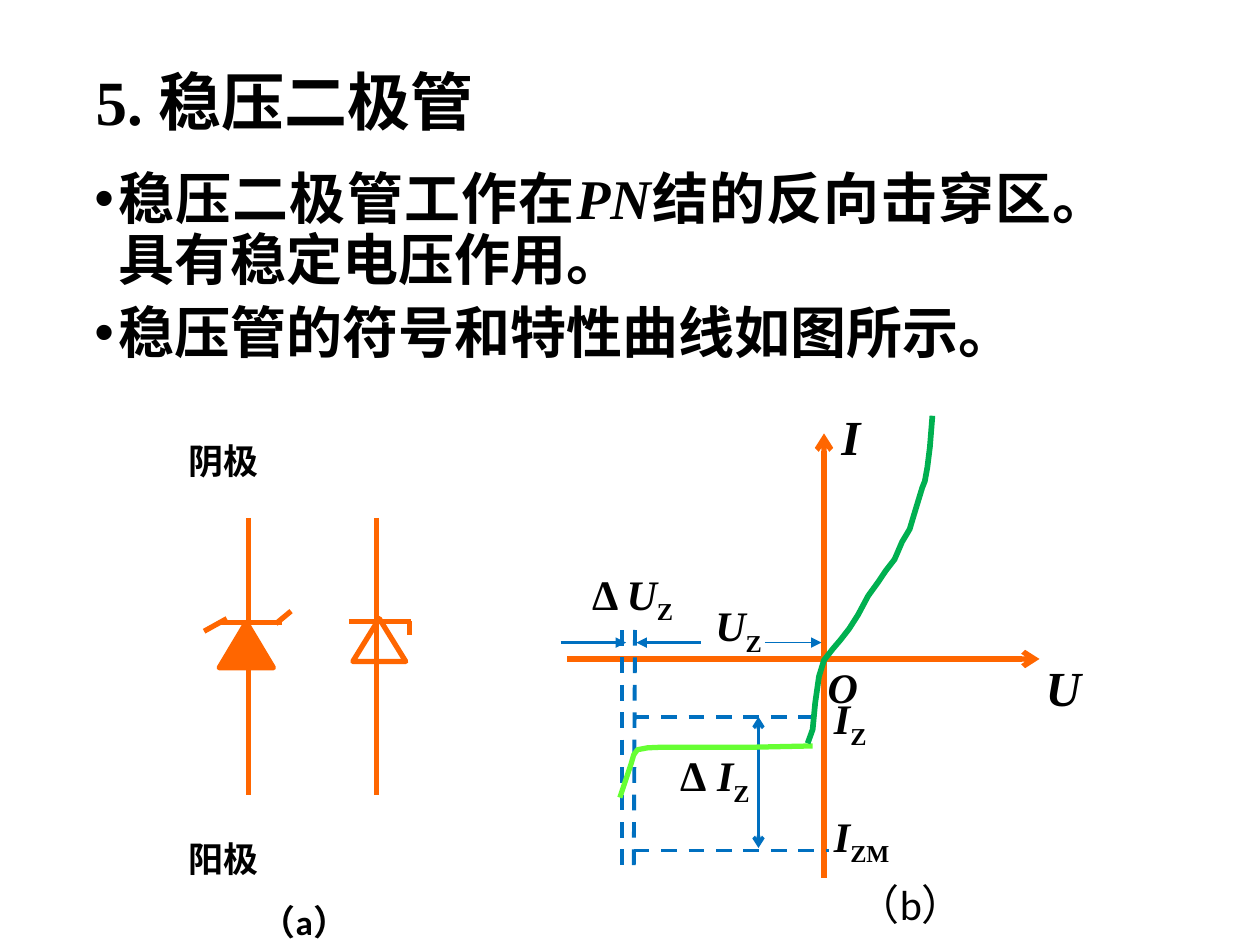
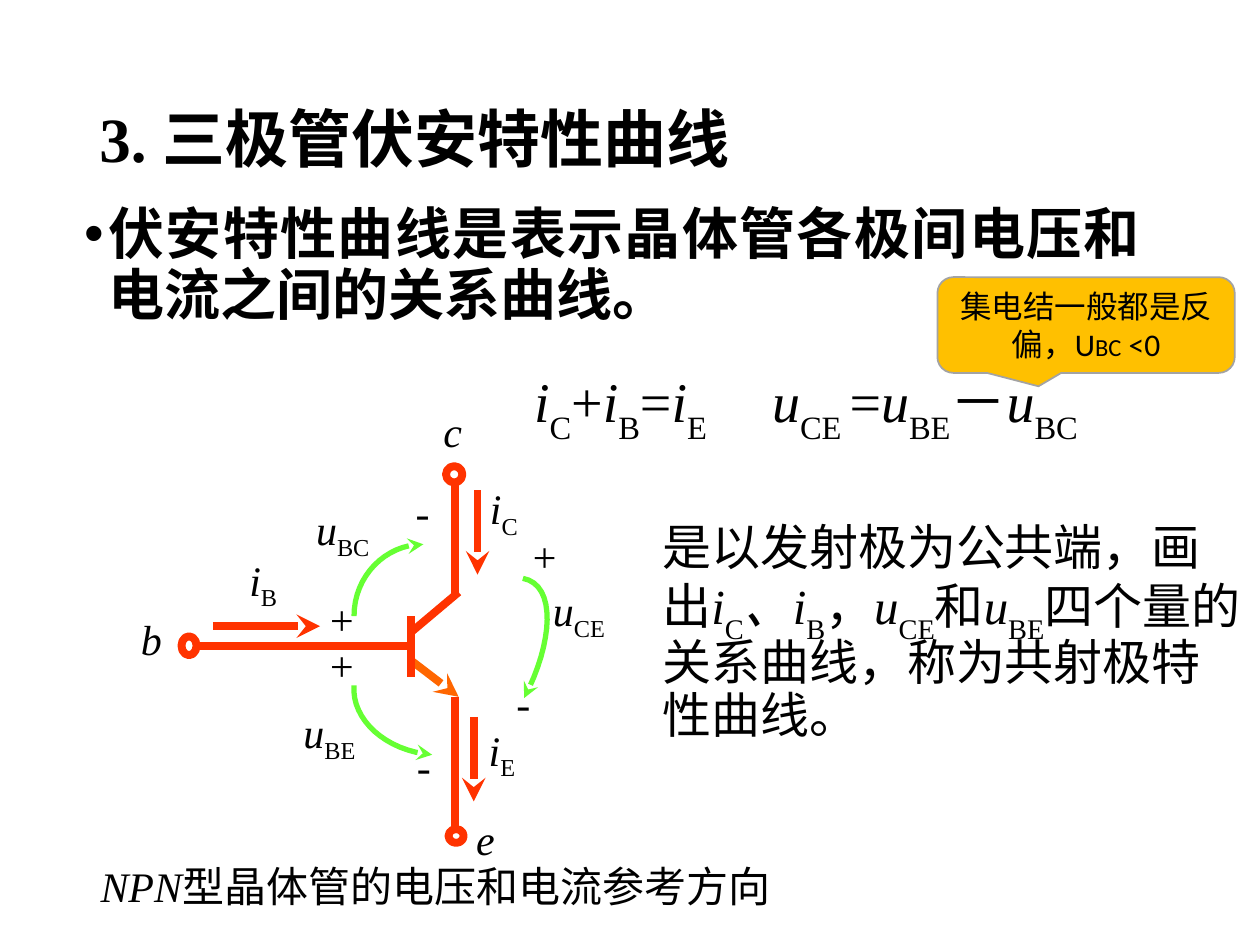
import lxml.etree
import pptx
import pptx.dml.color
import pptx.enum.dml
import pptx.enum.shapes
import pptx.enum.text
import pptx.oxml.ns
import pptx.util

# Shared look: a grid of 100 columns by 75 rows
cell = pptx.util.Inches(0.1)
serif, sans, chinese = "Times New Roman", "Calibri", "Noto Sans CJK SC"
orange, red, blue = "FF6600", "FF3300", "0070C0"
lime, green, amber, grey = "66FF33", "00B050", "FFC000", "A3A3A3"
black, white = "000000", "FFFFFF"
color = pptx.dml.color.RGBColor.from_string
qn = pptx.oxml.ns.qn
align = pptx.enum.text.PP_ALIGN
anchor = pptx.enum.text.MSO_ANCHOR
preset = pptx.enum.shapes.MSO_SHAPE


def write(page, at, paragraphs, size, font=serif, bold=False, box=None, drop=25,
          alignment=align.LEFT, middle=False, spacing=None, bullet=False):
    """Fill a box; "|" parts runs, marked "/" italic, "_" subscript, "~" small."""
    box = box or page.shapes.add_textbox(*[round(v * cell) for v in at])
    frame = box.text_frame
    frame.word_wrap = True
    frame.vertical_anchor = anchor.MIDDLE if middle else anchor.TOP
    for number, text in enumerate(paragraphs):
        para = frame.add_paragraph() if number else frame.paragraphs[0]
        para.alignment, para.line_spacing = alignment, spacing
        if number:
            para.space_before = pptx.util.Pt(7.5)
        properties = para._p.get_or_add_pPr()
        if bullet:
            indent = pptx.util.Inches(0.19)
            properties.set("marL", str(indent))
            properties.set("indent", str(-indent))
            lxml.etree.SubElement(properties, qn("a:buFont"), typeface="Arial")
            lxml.etree.SubElement(properties, qn("a:buChar"), char="•")
        para.font.size, para.font.name = pptx.util.Pt(size), font
        para.font.bold = bold
        para.font.color.rgb = color(black)
        lxml.etree.SubElement(properties.find(qn("a:defRPr")), qn("a:ea"), typeface=chinese)
        for part in text.split("|"):
            span = para.add_run()
            span.text = part.lstrip("/_~")
            if part[0] == "/":
                span.font.italic, span.font.name = True, serif
            elif part[0] == "_":
                span._r.get_or_add_rPr().set("baseline", str(-drop * 1000))
            elif part[0] == "~":
                span.font.size = pptx.util.Pt(14)


def stroke(shape, ink, width, dashed=False, head=None, tail=None):
    """Colour an outline, give it arrowheads and take its shadow away."""
    shape.line.color.rgb = color(ink)
    shape.line.width = pptx.util.Pt(width)
    if dashed:
        shape.line.dash_style = pptx.enum.dml.MSO_LINE.DASH
    outline = shape.line._get_or_add_ln()
    for tag, kind in (("a:headEnd", head), ("a:tailEnd", tail)):
        if kind:
            lxml.etree.SubElement(outline, qn(tag), type=kind)
    lxml.etree.SubElement(shape._element.spPr, qn("a:effectLst"))


deck = pptx.Presentation()
deck.slide_width, deck.slide_height = 100 * cell, 75 * cell
diode, transistor = [deck.slides.add_slide(deck.slide_layouts[6]) for _ in range(2)]

# Titles and bulleted bodies
for page, title_at, title, body_at, body, body_font in (
    (diode, (6.6, 1.1, 86.2, 14.5), "5. 稳压二极管", (6.5, 13.1, 82.5, 21),
     ["稳压二极管工作在|/PN|结的反向击穿区。具有稳定电压作用。",
      "稳压管的符号和特性曲线如图所示。"], chinese),
    (transistor, (6.9, 4, 86.2, 14.5), "3. 三极管伏安特性曲线", (5.7, 15.9, 85.8, 12.7),
     ["伏安特性曲线是表示晶体管各极间电压和电流之间的关系曲线。"], serif),
):
    write(page, title_at, [title], 36, bold=True, middle=True, spacing=0.9)
    write(page, body_at, body, 32, body_font, bold=True, alignment=align.JUSTIFY,
          spacing=0.9, bullet=True)

# Straight lines: page, from, to, colour, width, dashed, head, tail
lines = [
    # Axes of the diode curve
    (diode, 65.4, 34.4, 65.4, 69.7, orange, 3, False, "arrow", None),
    (diode, 45, 52.3, 82.5, 52.3, orange, 3, False, None, "arrow"),
    # Guides and dimensions
    (diode, 50.4, 50, 50.3, 68.9, blue, 2.25, True, None, None),
    (diode, 49.4, 50, 49.4, 69.3, blue, 2.25, True, None, None),
    (diode, 50.3, 56.9, 65.1, 56.9, blue, 2.25, True, None, None),
    (diode, 50.3, 67.5, 65.8, 67.5, blue, 2.25, True, None, None),
    (diode, 44.5, 51, 49.7, 51, blue, 2, False, None, "triangle"),
    (diode, 50.5, 51, 55.6, 51, blue, 2, False, "triangle", None),
    (diode, 60.7, 51, 65.2, 51, blue, 1, False, None, "triangle"),
    (diode, 60.2, 56.9, 60.2, 67.3, blue, 2, False, "arrow", "arrow"),
    # Transistor current arrows
    (transistor, 16.9, 49.7, 25.4, 49.7, red, 4.5, False, None, "stealth"),
    (transistor, 37.9, 38.9, 37.9, 45.6, red, 4.5, False, None, "stealth"),
    (transistor, 37.6, 56.9, 37.6, 63.6, red, 4.5, False, None, "stealth"),
    (transistor, 32.6, 52.4, 36.4, 55.3, orange, 4.5, False, None, "stealth"),
]
# Diode symbols and transistor leads are plain strokes
for page, ink, width, strokes in (
    (diode, orange, 3, (
        (19.7, 41.1, 19.7, 63.1), (17.5, 49.4, 22.4, 49.4), (21.9, 49.5, 23.1, 48.5),
        (18, 49.1, 16.2, 50.1), (29.9, 41.1, 29.9, 63.1), (27.7, 49.3, 32.6, 49.3),
        (32.5, 49.3, 32.5, 50.4))),
    (transistor, red, 4.5, (
        (32.6, 48.9, 32.6, 53.7), (36.1, 55.3, 36.1, 66), (32.6, 50.2, 36.4, 47),
        (36.1, 47.3, 36.1, 37.8), (32.4, 51.3, 15.6, 51.3))),
):
    lines += [(page, *ends, ink, width, False, None, None) for ends in strokes]
for page, *ends, ink, width, dashed, head, tail in lines:
    line = page.shapes.add_connector(pptx.enum.shapes.MSO_CONNECTOR.STRAIGHT,
                                     *[round(v * cell) for v in ends])
    stroke(line, ink, width, dashed, head, tail)

# Curves: the diode characteristic, then the three voltage arcs
breakdown = [(64.5, 59.2), (59.9, 59.3), (52.6, 59.3), (51.4, 59.35), (50.6, 59.5),
             (50.3, 59.9), (50.1, 60.6), (49.4, 62.7), (49.2, 63.3)]
forward = [(74, 33), (73.8, 35.5), (73.6, 37.1), (73.4, 38.2), (73.2, 38.7), (72.8, 40),
           (72.5, 41), (72.2, 42), (71.6, 43), (71, 44.4), (70.3, 45.3), (69.7, 46.2),
           (68.9, 47.3), (68.1, 48.8), (67.4, 49.9), (66.7, 50.8), (66.1, 51.5),
           (65.4, 52.4), (65, 53.7), (64.7, 55.8), (64.5, 57.9), (64.1, 59)]
curves = [(diode, breakdown, lime, 3, None), (diode, forward, green, 3.25, None)]
steps = 16
for controls in (
    ((28.1, 48.9), (28.1, 45.7), (30.6, 43.2), (33.6, 43.2)),
    ((28.1, 54.4), (27.9, 57.1), (30.6, 59.6), (34.3, 59.9)),
    ((41.5, 45.9), (44.2, 46.4), (43.9, 51), (41.6, 55.4)),
):
    arc = []
    for step in range(steps + 1):
        t = step / steps
        weights = ((1 - t) ** 3, 3 * t * (1 - t) ** 2, 3 * t * t * (1 - t), t ** 3)
        arc.append([sum(w * point[axis] for w, point in zip(weights, controls))
                    for axis in (0, 1)])
    curves.append((transistor, arc, lime, 3, "stealth"))
for page, points, ink, width, tail in curves:
    start, *rest = [(x * cell, y * cell) for x, y in points]
    builder = page.shapes.build_freeform(*start)
    builder.add_line_segments(rest, close=False)
    curve = builder.convert_to_shape()
    curve.fill.background()
    stroke(curve, ink, width, tail=tail)

# Diode triangles, transistor terminals and the callout
for page, kind, at, fill, ink, width in (
    (diode, preset.ISOSCELES_TRIANGLE, (17.4, 49.4, 4.3, 3.6), orange, orange, 3),
    (diode, preset.ISOSCELES_TRIANGLE, (28, 49.1, 4.2, 3.4), None, orange, 3),
    (transistor, preset.OVAL, (35.6, 65.8, 1.2, 1.1), white, red, 4.5),
    (transistor, preset.OVAL, (35.4, 37, 1.3, 1.3), white, red, 4.5),
    (transistor, preset.OVAL, (14.4, 50.5, 1.2, 1.5), white, red, 4.5),
    (transistor, preset.ROUNDED_RECTANGULAR_CALLOUT, (74.4, 22, 23.6, 7.6), amber, grey, 1),
):
    shape = page.shapes.add_shape(kind, *[round(v * cell) for v in at])
    if fill:
        shape.fill.solid()
        shape.fill.fore_color.rgb = color(fill)
    else:
        shape.fill.background()
    stroke(shape, ink, width)
callout = shape
callout.adjustments[0], callout.adjustments[1] = -0.16, 0.64
write(transistor, None, ["集电结一般都是反偏，U|~BC| <0"], 18, sans, box=callout,
      alignment=align.CENTER, middle=True)

# Diode labels
for left, top, width, text, size in (
    (82, 51.7, 4.4, "/U", 28), (65.8, 31.8, 2.8, "/I", 28), (64.7, 52, 4.4, "/O", 24),
    (55.8, 47.1, 6.4, "/U|_Z", 24), (65.2, 54.5, 6.9, "/I|_Z", 24),
    (46, 44.6, 9.8, "Δ |/U|_Z", 24), (53, 59, 13.1, "Δ|/ I|_Z", 24),
    (65.2, 63.8, 6.9, "/I|_ZM", 24),
):
    write(diode, (left, top, width, 5.1), [text], size, bold=True)
for left, top, text in ((14, 34.4, "阴极"), (14, 66, "阳极"), (19.7, 71, "（a）")):
    write(diode, (left, top, 12.5, 4.3), [text], 20, sans, bold=True)
write(diode, (67.1, 69.2, 13.8, 5.1), ["（b）"], 24, sans)

# Transistor labels
for left, top, text in (
    (10.2, 48.2, "/b"), (34.2, 31.7, "/c"), (36.8, 64.1, "/e"),
    (18.8, 43.5, "/i|_B"), (37.8, 57, "/i|_E"), (37.9, 37.8, "/i|_C"),
    (24.1, 39.5, "/u|_BC"), (42.9, 45.9, "/u|_CE"), (23.1, 55.6, "/u|_BE"),
    (25, 46.6, "/+"), (32, 38.1, "/-"), (25, 50.3, "/+"),
    (32.1, 58.3, "/-"), (41.1, 41.6, "/+"), (40, 53.3, "/-"),
):
    write(transistor, (left, top, 9.5, 7.5), [text], 24)
write(transistor, (0.8, 67.8, 67.5, 7.2), ["/NPN|型晶体管的电压和电流参考方向"], 24,
      alignment=align.CENTER)

# Equations and explanation
for left, width, equation in (
    (41.4, 18, "/i|_C|+|/i|_B|=|/i|_E"),
    (60.3, 36.6, "/u|_CE |=|/u|_BE|－|/u|_BC"),
):
    write(transistor, (left, 28.6, width, 10.6), [equation], 32, drop=30)
write(transistor, (51.6, 41, 48.4, 17.8),
      ["是以发射极为公共端，画出|/i|_C|/、i|_B|，|/u|_CE|和|/u|_BE|"
       "四个量的关系曲线，称为共射极特性曲线。"], 28, drop=30, spacing=0.9)

deck.save("out.pptx")
